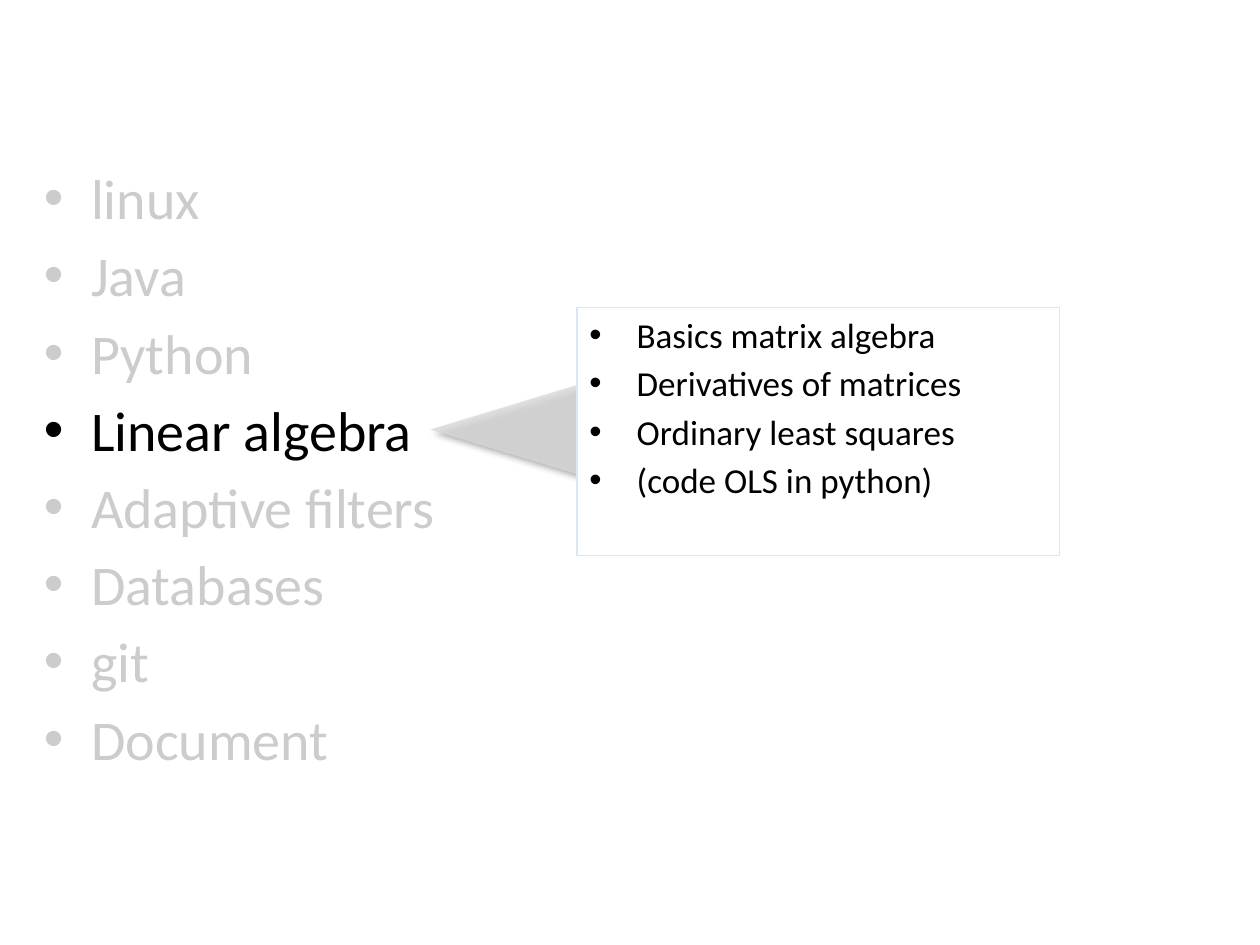
"""Build a topic list that highlights linear algebra and its details."""
import pptx
import pptx.util
import pptx.dml.color
import pptx.enum.shapes
import pptx.enum.text
import pptx.oxml
import pptx.oxml.ns

Inches, Pt = pptx.util.Inches, pptx.util.Pt
Shape = pptx.enum.shapes.MSO_SHAPE
THEME = {
    "font": "Calibri", "text": "000000", "veil": "FFFFFF", "pointer": "D9D9D9",
    "border": "DCE6F2", "topic_size": 32, "detail_size": 20,
    "border_width": 0.75, "opacity": 80,
}
NAMESPACE = pptx.oxml.ns.nsdecls("a")


def add_block(kind, box, color, opacity=100):
    block = slide.shapes.add_shape(kind, *map(Inches, box))
    block.shadow.inherit = False
    block.fill.solid()
    block.fill.fore_color.rgb = pptx.dml.color.RGBColor.from_string(color)
    block.line.fill.background()
    if opacity < 100:
        tint = block.fill._xPr.find(".//" + pptx.oxml.ns.qn("a:srgbClr"))
        tint.append(pptx.oxml.parse_xml(f'<a:alpha {NAMESPACE} val="{opacity * 1000}"/>'))
    return block


def write_bullets(frame, lines, size, gap):
    layout = {"word_wrap": True, "vertical_anchor": pptx.enum.text.MSO_ANCHOR.TOP}
    for name, value in layout.items():
        setattr(frame, name, value)
    for index, line in enumerate(lines):
        paragraph = frame.paragraphs[0] if index == 0 else frame.add_paragraph()
        paragraph.alignment = pptx.enum.text.PP_ALIGN.LEFT
        paragraph.space_before = Pt(gap)
        properties = paragraph._p.get_or_add_pPr()
        properties.set("marL", str(Inches(0.375)))
        properties.set("indent", str(-Inches(0.375)))
        for xml in (f'<a:buFont {NAMESPACE} typeface="Arial"/>',
                    f'<a:buChar {NAMESPACE} char="•"/>'):
            properties.append(pptx.oxml.parse_xml(xml))
        run = paragraph.add_run()
        run.text = line
        for name, value in {"name": THEME["font"], "size": Pt(size)}.items():
            setattr(run.font, name, value)
        run.font.color.rgb = pptx.dml.color.RGBColor.from_string(THEME["text"])


deck = pptx.Presentation()
deck.slide_width, deck.slide_height = Inches(10), Inches(7.5)
slide = deck.slides.add_slide(deck.slide_layouts[6])

topics = slide.shapes.add_textbox(*map(Inches, (0.25, 1.25, 3.33, 5.75)))
write_bullets(topics.text_frame,
              ["linux", "Java", "Python", "Linear algebra", "Adaptive filters",
               "Databases", "git", "Document"], THEME["topic_size"], 5.7)

for veil_box in ((0, 3.83, 3.92, 2.67), (0, 1.25, 3.67, 1.92)):
    add_block(Shape.RECTANGLE, veil_box, THEME["veil"], THEME["opacity"])

pointer = add_block(Shape.ISOSCELES_TRIANGLE, (3.99, 1.95, 1.77, 2.92),
                    THEME["pointer"], THEME["opacity"])
pointer.rotation = 270
effects = pointer._element.spPr.find(pptx.oxml.ns.qn("a:effectLst"))
effects.append(pptx.oxml.parse_xml(
    f'<a:outerShdw {NAMESPACE} blurRad="{Pt(4)}" dist="{Pt(3)}" dir="2700000" '
    'algn="tl" rotWithShape="0"><a:srgbClr val="000000">'
    '<a:alpha val="40000"/></a:srgbClr></a:outerShdw>'))

details = add_block(Shape.RECTANGLE, (4.58, 2.44, 3.83, 1.97), THEME["veil"])
details.line.color.rgb = pptx.dml.color.RGBColor.from_string(THEME["border"])
details.line.width = Pt(THEME["border_width"])
write_bullets(details.text_frame,
              ["Basics matrix algebra", "Derivatives of matrices",
               "Ordinary least squares", "(code OLS in python)"],
              THEME["detail_size"], 3.6)

deck.save("out.pptx")
